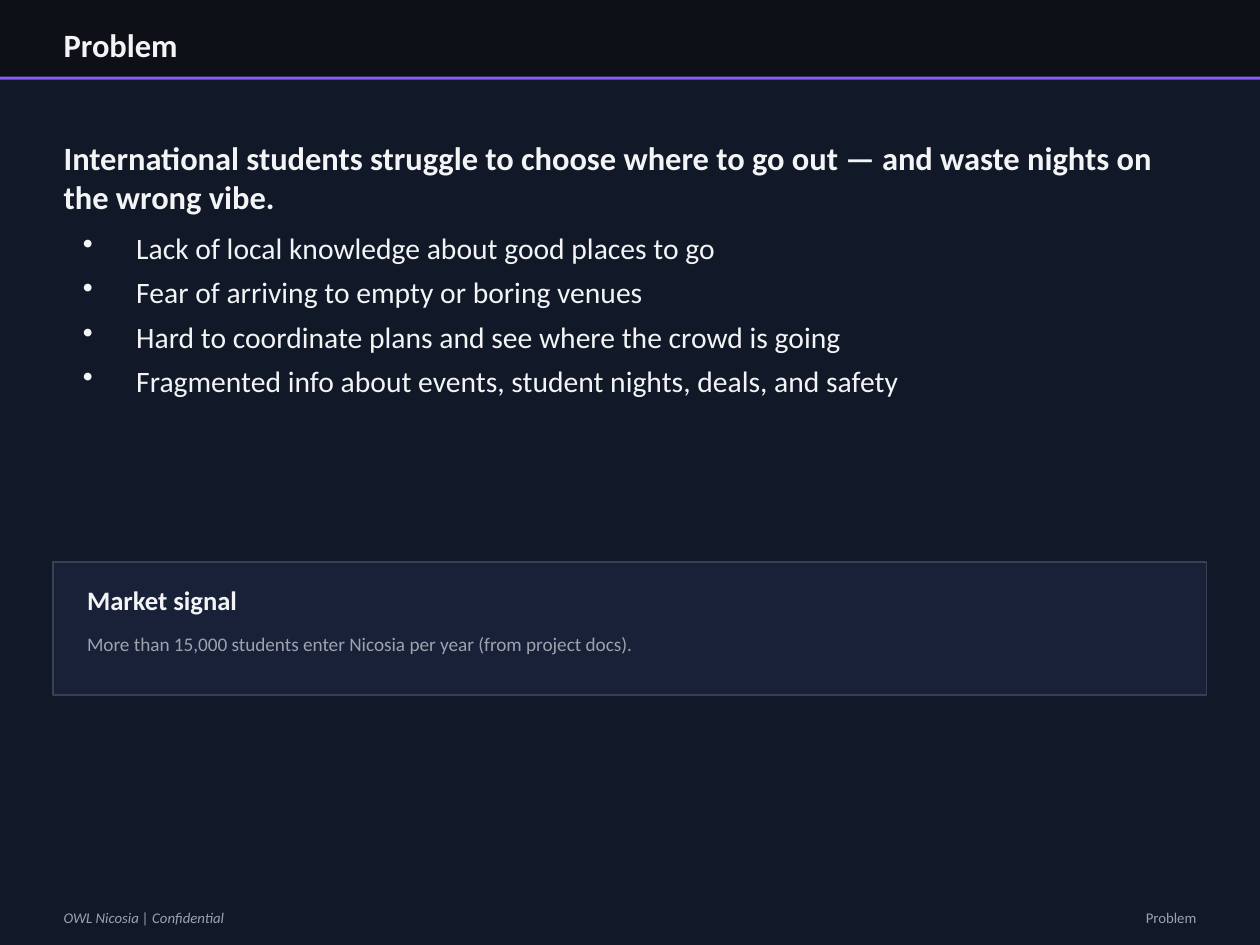
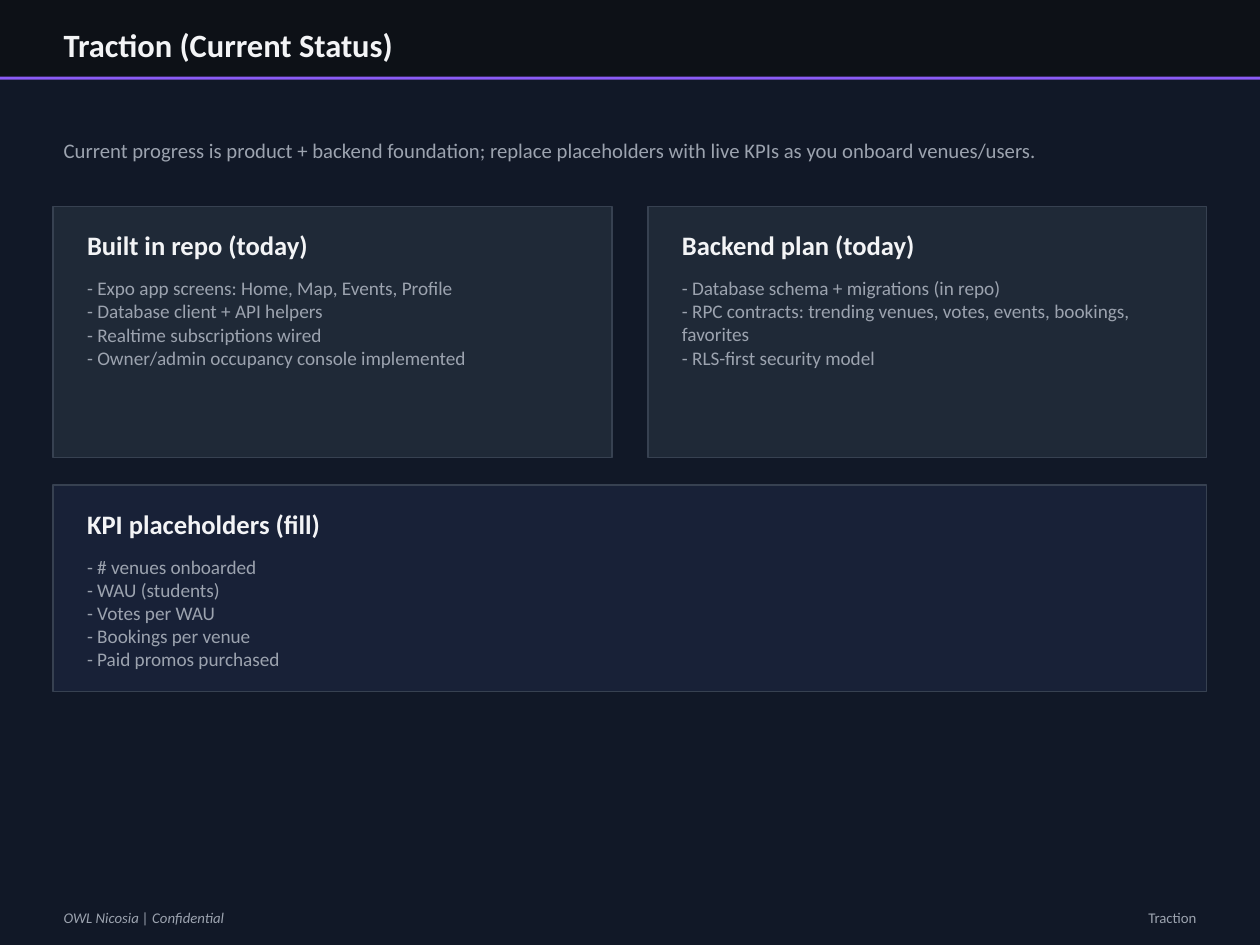
import pptx
import pptx.dml.color
import pptx.enum.shapes
import pptx.enum.text
import pptx.oxml.xmlchemy
import pptx.util
from lxml import etree
from pptx.util import Inches

COLORS = {
    "background": "111827",
    "header": "0D1117",
    "accent": "8B5CF6",
    "card": "1F2937",
    "highlight": "182137",
    "border": "374151",
    "text": "F3F4F6",
    "muted": "9CA3AF",
}
FONT = "Calibri"
PAGE_WIDTH, PAGE_HEIGHT = 11.84, 8.88
MARGIN = 0.5
CONTENT_WIDTH = PAGE_WIDTH - 2 * MARGIN
CARD_PADDING = 0.22
CARD_GAP = 0.34
FOOTER_TOP = 8.49
FOOTER = "OWL Nicosia | Confidential"
RIGHT = pptx.enum.text.PP_ALIGN.RIGHT


def rgb(name):
    return pptx.dml.color.RGBColor.from_string(COLORS[name])


def add_rect(page, left, top, width, height, fill, border=None):
    rect = page.shapes.add_shape(
        pptx.enum.shapes.MSO_SHAPE.RECTANGLE,
        Inches(left), Inches(top), Inches(width), Inches(height))
    rect.shadow.inherit = False
    rect.fill.solid()
    rect.fill.fore_color.rgb = rgb(fill)
    if border:
        rect.line.color.rgb = rgb(border)
        rect.line.width = pptx.util.Pt(1)
    else:
        rect.line.fill.background()


def style_para(para, size, color, bold=False, italic=False):
    for span in para.runs:
        span.font.name = FONT
        span.font.size = pptx.util.Pt(size)
        span.font.color.rgb = rgb(color)
        span.font.bold = bold
        span.font.italic = italic


def add_box(page, left, top, width, height):
    box = page.shapes.add_textbox(
        Inches(left), Inches(top), Inches(width), Inches(height))
    frame = box.text_frame
    frame.word_wrap = True
    frame.auto_size = pptx.enum.text.MSO_AUTO_SIZE.SHAPE_TO_FIT_TEXT
    return frame


def add_text(page, left, top, width, height, text, size, color,
             align=None, **style):
    """Add one paragraph; a newline in the text is a line break."""
    para = add_box(page, left, top, width, height).paragraphs[0]
    para.text = text
    para.alignment = align
    style_para(para, size, color, **style)


def add_bullets(page, left, top, width, height, items):
    frame = add_box(page, left, top, width, height)
    frame.margin_left = frame.margin_right = Inches(0.11)
    frame.margin_top = frame.margin_bottom = Inches(0.08)
    frame.text = "\n".join(items)
    for para in frame.paragraphs:
        para.space_after = pptx.util.Pt(6)
        properties = para._p.get_or_add_pPr()
        properties.set("marL", str(Inches(0.5)))
        properties.set("indent", str(-Inches(0.5)))
        bullet = etree.SubElement(properties, pptx.oxml.ns.qn("a:buChar"))
        bullet.set("char", "•")
        style_para(para, 20, "text")


def add_card(page, left, top, width, height, heading, lines, fill="card"):
    add_rect(page, left, top, width, height, fill, "border")
    text_left = left + CARD_PADDING
    text_width = width - 2 * CARD_PADDING
    add_text(page, text_left, top + 0.16, text_width, 0.4,
             heading, 18, "text", bold=True)
    add_text(page, text_left, top + 0.61, text_width, 0.1 + 0.22 * len(lines),
             "\n".join(lines), 13, "muted")


def add_page(deck, title, footer_label):
    """Add a page with the shared background, header band and footer."""
    page = deck.slides.add_slide(deck.slide_layouts[6])
    page.background.fill.solid()
    page.background.fill.fore_color.rgb = rgb("background")
    add_rect(page, 0, 0, PAGE_WIDTH, 0.75, "header")
    add_rect(page, 0, 0.72, PAGE_WIDTH, 0.03, "accent")
    add_text(page, MARGIN, 0.19, CONTENT_WIDTH, 0.47,
             title, 22, "text", bold=True)
    add_text(page, MARGIN, FOOTER_TOP, 5.56, 0.27,
             FOOTER, 10, "muted", italic=True)
    add_text(page, PAGE_WIDTH - MARGIN - 4.5, FOOTER_TOP, 4.5, 0.27,
             footer_label, 10, "muted", align=RIGHT)
    return page


def add_problem_page(deck):
    page = add_page(deck, "Problem", "Problem")
    add_text(page, MARGIN, 1.25, CONTENT_WIDTH, 0.84,
             "International students struggle to choose where to go out — "
             "and waste nights on the wrong vibe.", 22, "text", bold=True)
    add_bullets(page, 0.67, 2.08, 10.51, 1.77, [
        "Lack of local knowledge about good places to go",
        "Fear of arriving to empty or boring venues",
        "Hard to coordinate plans and see where the crowd is going",
        "Fragmented info about events, student nights, deals, and safety",
    ])
    add_card(page, MARGIN, 5.28, CONTENT_WIDTH, 1.25, "Market signal", [
        "More than 15,000 students enter Nicosia per year "
        "(from project docs).",
    ], "highlight")


def add_traction_page(deck):
    page = add_page(deck, "Traction (Current Status)", "Traction")
    add_text(page, MARGIN, 1.25, CONTENT_WIDTH, 0.34,
             "Current progress is product + backend foundation; replace "
             "placeholders with live KPIs as you onboard venues/users.",
             14, "muted")
    cards = [
        ("Built in repo (today)", [
            "- Expo app screens: Home, Map, Events, Profile",
            "- Database client + API helpers",
            "- Realtime subscriptions wired",
            "- Owner/admin occupancy console implemented",
        ]),
        ("Backend plan (today)", [
            "- Database schema + migrations (in repo)",
            "- RPC contracts: trending venues, votes, events, bookings, "
            "favorites",
            "- RLS-first security model",
        ]),
    ]
    card_width = (CONTENT_WIDTH - CARD_GAP) / len(cards)
    for column, (heading, lines) in enumerate(cards):
        left = MARGIN + column * (card_width + CARD_GAP)
        add_card(page, left, 1.94, card_width, 2.36, heading, lines)
    add_card(page, MARGIN, 4.56, CONTENT_WIDTH, 1.94,
             "KPI placeholders (fill)", [
                 "- # venues onboarded",
                 "- WAU (students)",
                 "- Votes per WAU",
                 "- Bookings per venue",
                 "- Paid promos purchased",
             ], "highlight")


def main():
    deck = pptx.Presentation()
    deck.slide_width = Inches(PAGE_WIDTH)
    deck.slide_height = Inches(PAGE_HEIGHT)
    add_problem_page(deck)
    add_traction_page(deck)
    deck.save("out.pptx")


if __name__ == "__main__":
    main()
